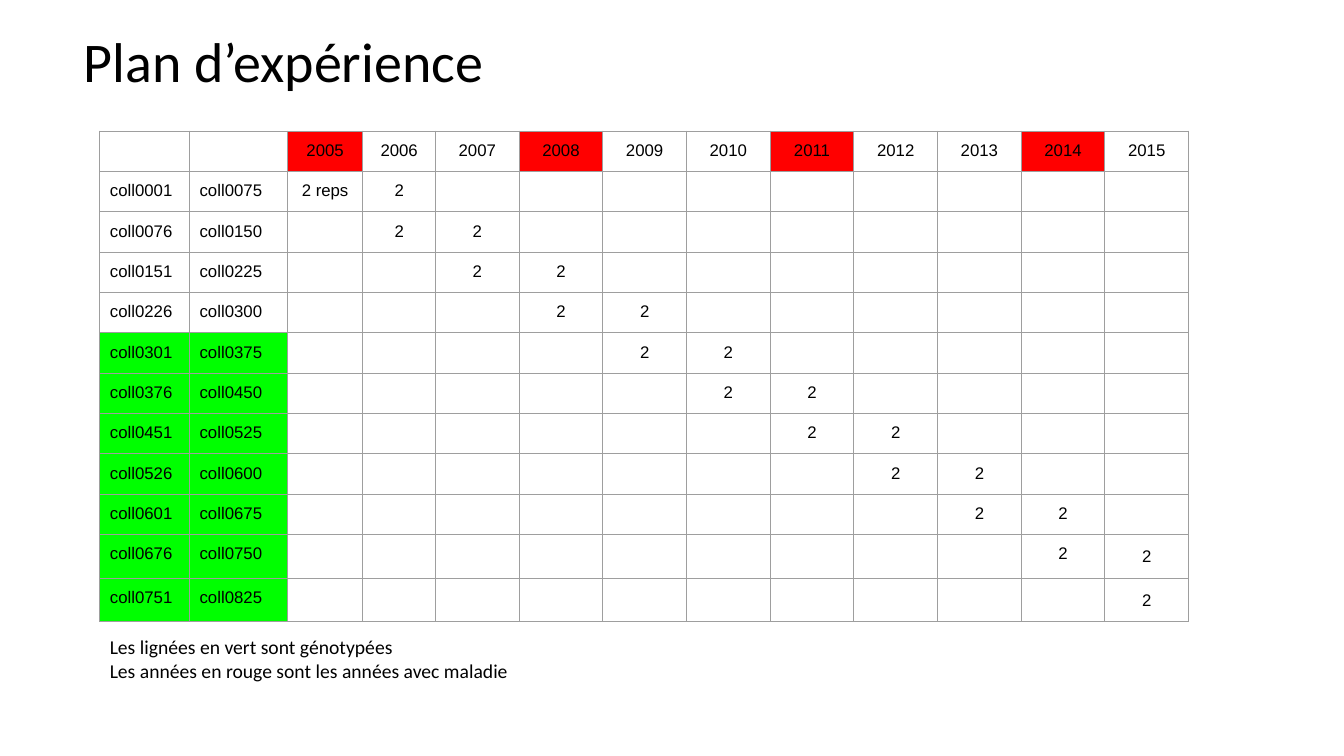
from dataclasses import dataclass

from lxml.etree import SubElement
from pptx import Presentation
from pptx.dml.color import RGBColor
from pptx.enum.text import MSO_ANCHOR, PP_ALIGN
from pptx.oxml.ns import qn
from pptx.util import Inches, Pt

# Content
TITLE = "Plan d’expérience"
YEARS = list(range(2005, 2016))
DISEASE_YEARS = {2005, 2008, 2011, 2014}
LINES_PER_GROUP = 75
FIRST_GENOTYPED_LINE = 301
LEGEND = [
    "Les lignées en vert sont génotypées",
    "Les années en rouge sont les années avec maladie",
]


@dataclass(frozen=True)
class Theme:
    heading_font: str = "Calibri"
    table_font: str = "Arial"
    title_size: int = 40
    legend_size: int = 14
    table_size: int = 12
    text: str = "000000"
    disease: str = "FF0000"
    genotyped: str = "00FF00"
    border: str = "9E9E9E"
    border_width: float = 0.75


THEME = Theme()

# Layout, in inches
TITLE_BOX = (0.73, 0.15, 4.3, 0.97)
LEGEND_BOX = (0.99, 6.2, 6.88, 0.67)
PLAN_LEFT, PLAN_TOP = 0.99, 1.3
COLUMN_WIDTHS = [0.89, 0.97, 0.75, 0.72] + [0.83] * 9
ROW_HEIGHT = 0.39
PADDING = 0.1


def plan_rows():
    """Each group of lines is grown in its starting year and the next one."""
    rows = [["", ""] + [str(year) for year in YEARS]]
    for group, start in enumerate(YEARS):
        first = group * LINES_PER_GROUP + 1
        last = first + LINES_PER_GROUP - 1
        trials = ["2" if year in (start, start + 1) else "" for year in YEARS]
        rows.append([f"coll{first:04d}", f"coll{last:04d}"] + trials)
    rows[1][2] = "2 reps"
    return rows


def style_runs(paragraph, font, size):
    for run in paragraph.runs:
        run.font.name = font
        run.font.size = Pt(size)
        run.font.color.rgb = RGBColor.from_string(THEME.text)


def add_text(slide, box, lines, size, padding_y):
    frame = slide.shapes.add_textbox(*map(Inches, box)).text_frame
    frame.word_wrap = True
    frame.margin_left = frame.margin_right = Inches(PADDING)
    frame.margin_top = frame.margin_bottom = Inches(padding_y)
    frame.text = "\n".join(lines)
    for paragraph in frame.paragraphs:
        style_runs(paragraph, THEME.heading_font, size)
    return frame


def add_borders(cell):
    properties = cell._tc.get_or_add_tcPr()
    for side in ("lnL", "lnR", "lnT", "lnB"):
        line = SubElement(properties, qn(f"a:{side}"), w=str(Pt(THEME.border_width)))
        fill = SubElement(line, qn("a:solidFill"))
        SubElement(fill, qn("a:srgbClr"), val=THEME.border)


def cell_color(row, column):
    if row == 0 and column >= 2 and YEARS[column - 2] in DISEASE_YEARS:
        return THEME.disease
    if row > 0 and column < 2 and (row - 1) * LINES_PER_GROUP + 1 >= FIRST_GENOTYPED_LINE:
        return THEME.genotyped
    return None


def fill_cell(cell, row, column, text):
    add_borders(cell)
    color = cell_color(row, column)
    if color:
        cell.fill.solid()
        cell.fill.fore_color.rgb = RGBColor.from_string(color)
    else:
        cell.fill.background()

    # Empty cells need no vertical padding, which keeps the rows even
    cell.margin_left = cell.margin_right = Inches(PADDING)
    cell.margin_top = cell.margin_bottom = Inches(PADDING if text else 0)
    if not text:
        return
    cell.text_frame.text = text
    paragraph = cell.text_frame.paragraphs[0]
    style_runs(paragraph, THEME.table_font, THEME.table_size)
    if column >= 2:
        paragraph.alignment = PP_ALIGN.CENTER
    if row > 0 and column == len(COLUMN_WIDTHS) - 1:
        paragraph.line_spacing = 1.15


def add_plan(slide, rows):
    plan = slide.shapes.add_table(
        len(rows), len(COLUMN_WIDTHS), Inches(PLAN_LEFT), Inches(PLAN_TOP),
        Inches(sum(COLUMN_WIDTHS)), Inches(ROW_HEIGHT * len(rows)),
    ).table
    plan.first_row = plan.horz_banding = False
    for column, width in zip(plan.columns, COLUMN_WIDTHS):
        column.width = Inches(width)
    for r, values in enumerate(rows):
        plan.rows[r].height = Inches(ROW_HEIGHT)
        for c, text in enumerate(values):
            fill_cell(plan.cell(r, c), r, c, text)


presentation = Presentation()
presentation.slide_width = Inches(13.33)
presentation.slide_height = Inches(7.5)
slide = presentation.slides.add_slide(presentation.slide_layouts[6])

# Title
title = add_text(slide, TITLE_BOX, [TITLE], THEME.title_size, 0.05)
title.vertical_anchor = MSO_ANCHOR.MIDDLE
title.paragraphs[0].line_spacing = 0.9

# Trial plan and its legend
add_plan(slide, plan_rows())
add_text(slide, LEGEND_BOX, LEGEND, THEME.legend_size, PADDING)

presentation.save("out.pptx")
